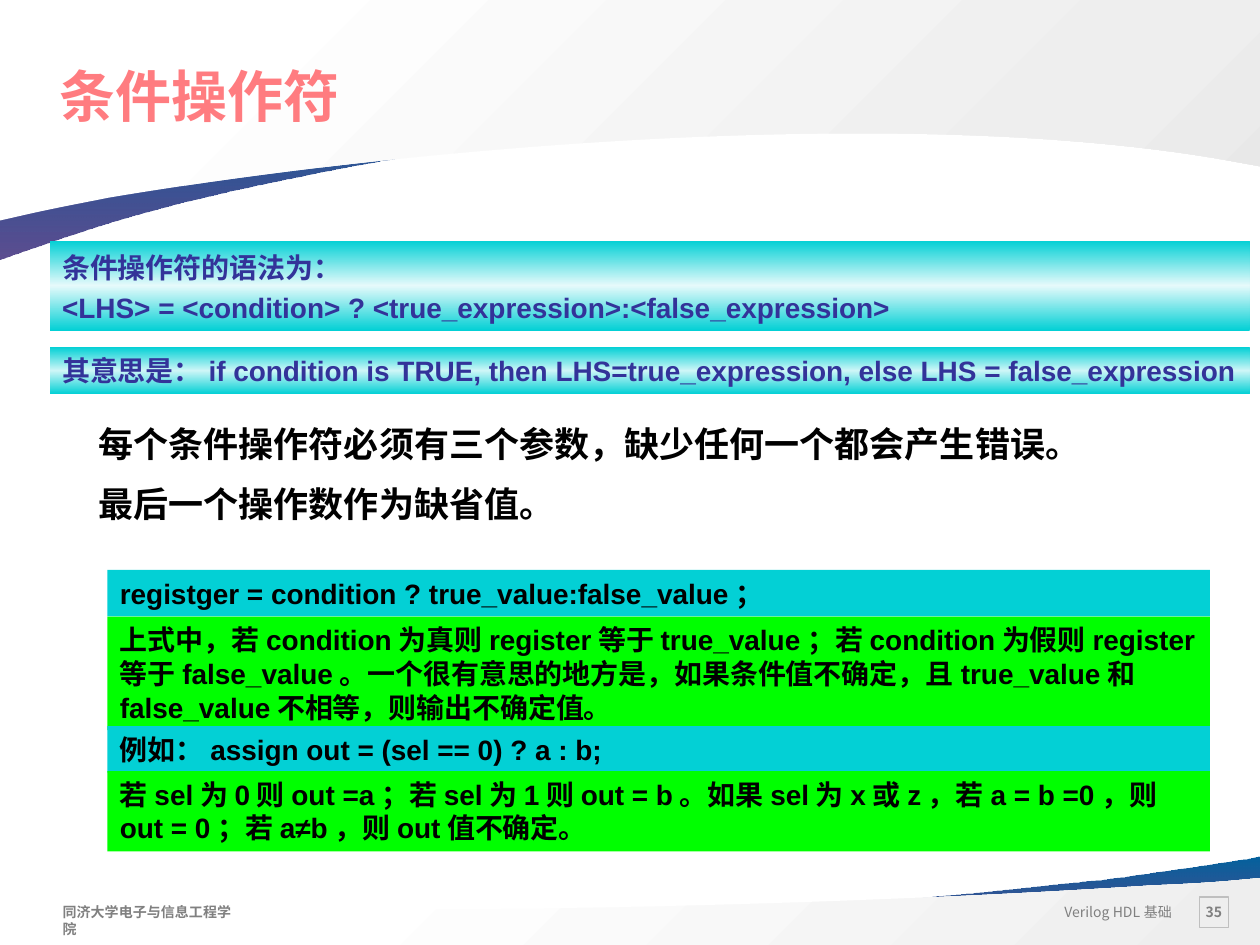
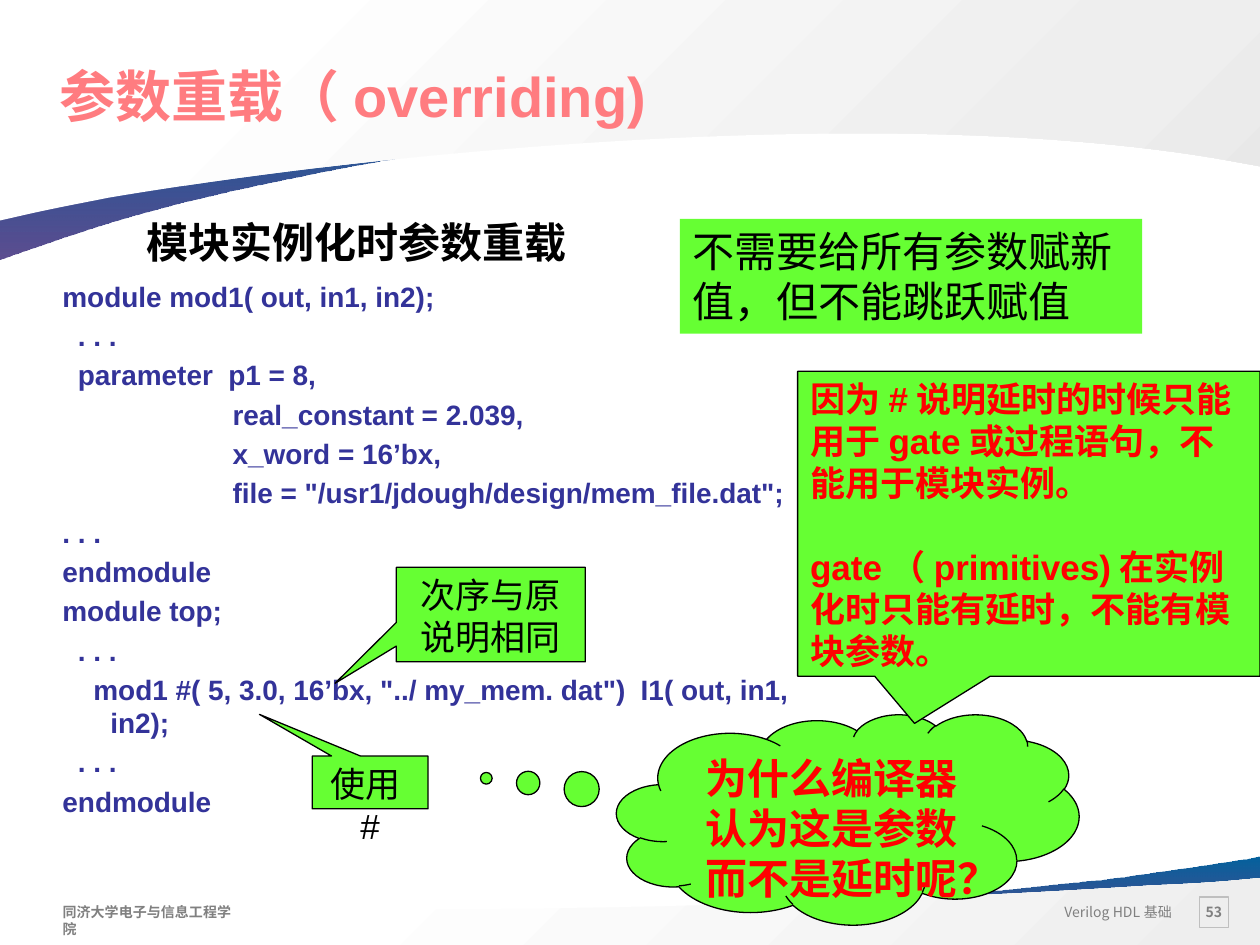
from lxml import etree
from pptx import Presentation
from pptx.dml.color import RGBColor
from pptx.enum.lang import MSO_LANGUAGE_ID as LANG
from pptx.enum.shapes import MSO_SHAPE as SHAPE
from pptx.enum.text import MSO_ANCHOR as ANCHOR, MSO_AUTO_SIZE as AUTO, PP_ALIGN as ALIGN
from pptx.oxml import parse_xml
from pptx.oxml.ns import nsdecls, qn
from pptx.util import Pt

COLORS = {
    "title": "FF7C80", "code": "333399", "text": "000000", "alert": "FF0000",
    "footer": "808080", "frame": "BFBFBF", "cyan": "03D0D5", "green": "00FF00",
    "lime": "66FF33", "line": "000000",
}
FONT, FOOTER_FONT = "Arial", "Noto Sans CJK SC"
INSETS = (7.2, 3.6, 7.2, 3.6)
LINE_RATIO = 1.2

# Gradients: angle and (position, colour, opacity) stops
RIBBON = (90, [(0, "04619D", 100), (100, "342275", 80)])
LOWER_GREY = (45, [(26, "FFFFFF", 100), (100, "EEEEEE", 100)])
UPPER_GREY = (45, [(17, "FFFFFF", 100), (81, "EEEEEE", 100), (100, "E8E8E8", 100)])


def sheen(middle):
    return 90, [(0, COLORS["cyan"], 100), (50, middle, 100), (100, COLORS["cyan"], 100)]


# Shared bands: two numbers are a corner, six are a curve
BANDS = [
    (RIBBON, [(720, 489.6), (720, 536.4), (0, 536.4), (0, 517),
              (162.7, 540.7, 442.8, 523.4, 604.1, 505.4),
              (636.5, 502.6, 673.2, 496.8, 712.1, 491)]),
    (LOWER_GREY, [(720, 501.8), (720, 540), (0, 540), (0, 512.6), (23.8, 514.8),
                  (211.7, 525.6, 491.8, 517, 658.1, 506),
                  (672.5, 505.4, 688.3, 504.7, 704.2, 503.3)]),
    (RIBBON, [(0, 148.3), (0, 47.5), (720, 47.5), (720, 89.3), (719.3, 88.6),
              (557.3, 38.2, 277.2, 74.2, 115.9, 113),
              (83.5, 120.2, 46.8, 131.8, 7.9, 145.4)]),
    (UPPER_GREY, [(0, 126), (0, 0), (720, 0), (720, 95), (696.2, 90.7),
                  (508.3, 59, 228.2, 85, 61.9, 113),
                  (47.5, 115.9, 31.7, 118.8, 15.8, 122.4)]),
]
COURSE = "Verilog HDL基础"
SCHOOL = "同济大学电子与信息工程学院"

# Slide 1: conditional operator
SYNTAX = ["条件操作符的语法为：",
          "<LHS> = <condition> ? <true_expression>:<false_expression>"]
MEANING = ["其意思是：if condition is TRUE, then LHS=true_expression, else LHS = false_expression"]
RULES = ["每个条件操作符必须有三个参数，缺少任何一个都会产生错误。",
         "最后一个操作数作为缺省值。"]
EXAMPLE_ROWS = [  # top, height, fill, text
    (325.7, 26.6, "cyan", "registger = condition ? true_value:false_value；"),
    (352.4, 64.8, "green",
     "上式中，若condition为真则register等于true_value；若condition为假则register等于"
     "false_value。一个很有意思的地方是，如果条件值不确定，且true_value和false_value不相等，"
     "则输出不确定值。"),
    (414.9, 26.6, "cyan", "例如：assign out = (sel == 0) ? a : b;"),
    (440.6, 46, "green",
     "若sel为0则out =a；若sel为1则out = b。如果sel为x或z，若a = b =0，则out = 0；"
     "若a≠b，则out值不确定。"),
]

# Slide 2: parameter overriding
HEADING = ["模块实例化时参数重载"]
CODE = """module mod1( out, in1, in2);
  . . .
  parameter  p1 = 8,
                      real_constant = 2.039,
                      x_word = 16’bx,
                      file = "/usr1/jdough/design/mem_file.dat";
. . .
endmodule
module top;
  . . .
    mod1 #( 5, 3.0, 16’bx, "../ my_mem. dat")  I1( out, in1, in2);
  . . .
endmodule""".split("\n")
NOTE = ["不需要给所有参数赋新值，但不能跳跃赋值"]
CALLOUTS = [  # shape, place, adjustments, text, style
    (SHAPE.RECTANGULAR_CALLOUT, (178.4, 432, 66.2, 30.2), (-0.956, -1.288),
     ["使用#"], dict(size=20, align=ALIGN.CENTER)),
    (SHAPE.RECTANGULAR_CALLOUT, (226.5, 324.2, 108, 54), (-0.824, 0.727),
     ["次序与原说明相同"], dict(size=20, align=ALIGN.CENTER)),
    (SHAPE.CLOUD_CALLOUT, (352.4, 408.1, 264.2, 120.2), (-0.782, -0.195),
     ["为什么编译器认为这是参数而不是延时呢？"],
     dict(size=24, align=ALIGN.CENTER, color="alert", bold=True)),
    (SHAPE.RECTANGULAR_CALLOUT, (455.8, 212.2, 264.2, 174.2), (-0.247, 0.655),
     ["因为#说明延时的时候只能用于gate或过程语句，不能用于模块实例。",
      "gate（primitives)在实例化时只能有延时，不能有模块参数。"],
     dict(size=20, color="alert", bold=True, gap=24)),
]


def rgb(name):
    return RGBColor.from_string(COLORS[name])


def write(shape, lines, size, color="text", bold=False, align=ALIGN.LEFT, gap=0,
          pitch=LINE_RATIO, font=FONT, insets=INSETS, anchor=ANCHOR.TOP, wrap=True):
    frame = shape.text_frame
    frame.text = "\n".join(lines)
    frame.auto_size, frame.word_wrap, frame.vertical_anchor = AUTO.NONE, wrap, anchor
    (frame.margin_left, frame.margin_top,
     frame.margin_right, frame.margin_bottom) = map(Pt, insets)
    for index, para in enumerate(frame.paragraphs):
        para.alignment = align
        para.line_spacing = Pt(size * pitch)
        para.space_before = Pt(gap if index else 0)
        for span in para.runs:
            span.font.size, span.font.bold, span.font.name = Pt(size), bold, font
            span.font.color.rgb = rgb(color)
            span.font.language_id = LANG.SIMPLIFIED_CHINESE
            latin = span.font._element.find(qn("a:latin"))
            latin.addnext(parse_xml(f'<a:ea {nsdecls("a")} typeface="{font}"/>'))


def paint_gradient(shape, gradient):
    angle, stops = gradient
    shape.fill.background()
    fill = parse_xml(f'<a:gradFill {nsdecls("a")} rotWithShape="1"><a:gsLst/>'
                     f'<a:lin ang="{angle * 60000}" scaled="0"/></a:gradFill>')
    for position, color, opacity in stops:
        stop = etree.SubElement(fill[0], qn("a:gs"), pos=str(position * 1000))
        tint = etree.SubElement(stop, qn("a:srgbClr"), val=color)
        if opacity < 100:
            etree.SubElement(tint, qn("a:alpha"), val=str(opacity * 1000))
    properties = shape.element.spPr
    properties.replace(properties.find(qn("a:noFill")), fill)


def add_box(page, place, fill=None, gradient=None, line=None, kind=SHAPE.RECTANGLE):
    box = page.shapes.add_shape(kind, *map(Pt, place))
    box.shadow.inherit = False
    if gradient:
        paint_gradient(box, gradient)
    elif fill:
        box.fill.solid()
        box.fill.fore_color.rgb = rgb(fill)
    else:
        box.fill.background()
    if line:
        box.line.color.rgb, box.line.width = rgb(line), Pt(0.75)
    else:
        box.line.fill.background()
    return box


def add_text(page, place, lines, size, **style):
    box = page.shapes.add_textbox(*map(Pt, place))
    write(box, lines, size, **style)
    return box


def add_band(page, gradient, nodes):
    start, *rest = [(Pt(node[-2]), Pt(node[-1])) for node in nodes]
    builder = page.shapes.build_freeform(*start)
    builder.add_line_segments(rest, close=True)
    band = builder.convert_to_shape()
    # Bend the segments whose node carries control points
    segments = band.element.findall(".//" + qn("a:lnTo"))
    for segment, node in zip(segments, nodes[1:]):
        if len(node) == 6:
            segment.tag = qn("a:cubicBezTo")
            segment.clear()
            for x, y in zip(node[::2], node[1::2]):
                etree.SubElement(segment, qn("a:pt"), x=str(Pt(x) - band.left),
                                 y=str(Pt(y) - band.top))
    band.shadow.inherit = False
    band.line.fill.background()
    paint_gradient(band, gradient)
    return band


def furnish_master(deck, page):
    """Draw the bands and footers, then hand them to the slide master."""
    parts = [add_band(page, *band) for band in BANDS]
    footer = dict(size=8, color="footer", font=FOOTER_FONT)
    parts.append(add_text(page, (599.8, 512.6, 77, 17.3), [COURSE],
                          align=ALIGN.RIGHT, wrap=False, **footer))
    parts.append(add_text(page, (35.8, 512.6, 110.9, 16.6), [SCHOOL], bold=True,
                          insets=(0, 3.6, 7.2, 3.6), **footer))
    for number, part in enumerate(parts, 100):
        part.element.xpath(".//p:cNvPr")[0].set("id", str(number))
        deck.slide_master.shapes.element.append(part.element)


def place_placeholder(holder, place):
    holder.left, holder.top, holder.width, holder.height = map(Pt, place)


def add_page(deck, layout, title, number):
    page = deck.slides.add_slide(deck.slide_layouts[layout])
    place_placeholder(page.shapes.title, (28.4, 29.5, 648, 41.8))
    write(page.shapes.title, [title], 32, color="title", bold=True,
          insets=(5.8, 5.8, 0, 5.8))
    box = add_box(page, (685.4, 512.6, 16.6, 17.3), line="frame")
    write(box, [number], 8, color="footer", bold=True, align=ALIGN.CENTER,
          font=FOOTER_FONT, insets=(5.8,) * 4, anchor=ANCHOR.MIDDLE, wrap=False)
    return page


def build_conditional(page):
    box = add_box(page, (28.5, 137.5, 685.7, 51.4), gradient=sheen("E6FAFB"))
    write(box, SYNTAX, 16, color="code", bold=True, gap=1.7, pitch=1.33)
    box = add_box(page, (28.5, 198.4, 685.7, 26.8), gradient=sheen("CEF6F7"))
    write(box, MEANING, 16, color="code", bold=True, insets=(7.2, 3.6, 0, 3.6))
    add_text(page, (49.3, 238, 648, 67.7), RULES, 20, bold=True, gap=10.2)
    for top, height, fill, text in EXAMPLE_ROWS:
        box = add_box(page, (61.4, top, 630, height), fill=fill)
        write(box, [text], 16, bold=True)


def build_overriding(page):
    body = page.placeholders[1]
    place_placeholder(body, (28.5, 156.2, 444.2, 311.8))
    write(body, CODE, 16, color="code", bold=True, gap=3.6, pitch=1.18)
    for para in body.text_frame.paragraphs:
        properties = para._p.get_or_add_pPr()
        properties.set("marL", str(Pt(27.4)))
        properties.set("indent", str(-Pt(27.4)))
        etree.SubElement(properties, qn("a:buNone"))
    add_text(page, (76.7, 120.2, 642.2, 36), HEADING, 24, bold=True)
    write(add_box(page, (388.5, 125.1, 264.2, 65.5), fill="lime"), NOTE, 24)
    for kind, place, adjustments, lines, style in CALLOUTS:
        box = add_box(page, place, fill="lime", line="line", kind=kind)
        for index, value in enumerate(adjustments):
            box.adjustments[index] = value
        write(box, lines, **style)


def main():
    deck = Presentation()
    deck.slide_width, deck.slide_height = Pt(720), Pt(540)
    first = add_page(deck, 5, "条件操作符", "35")
    furnish_master(deck, first)
    build_conditional(first)
    build_overriding(add_page(deck, 1, "参数重载（overriding)", "53"))
    deck.save("out.pptx")


if __name__ == "__main__":
    main()
